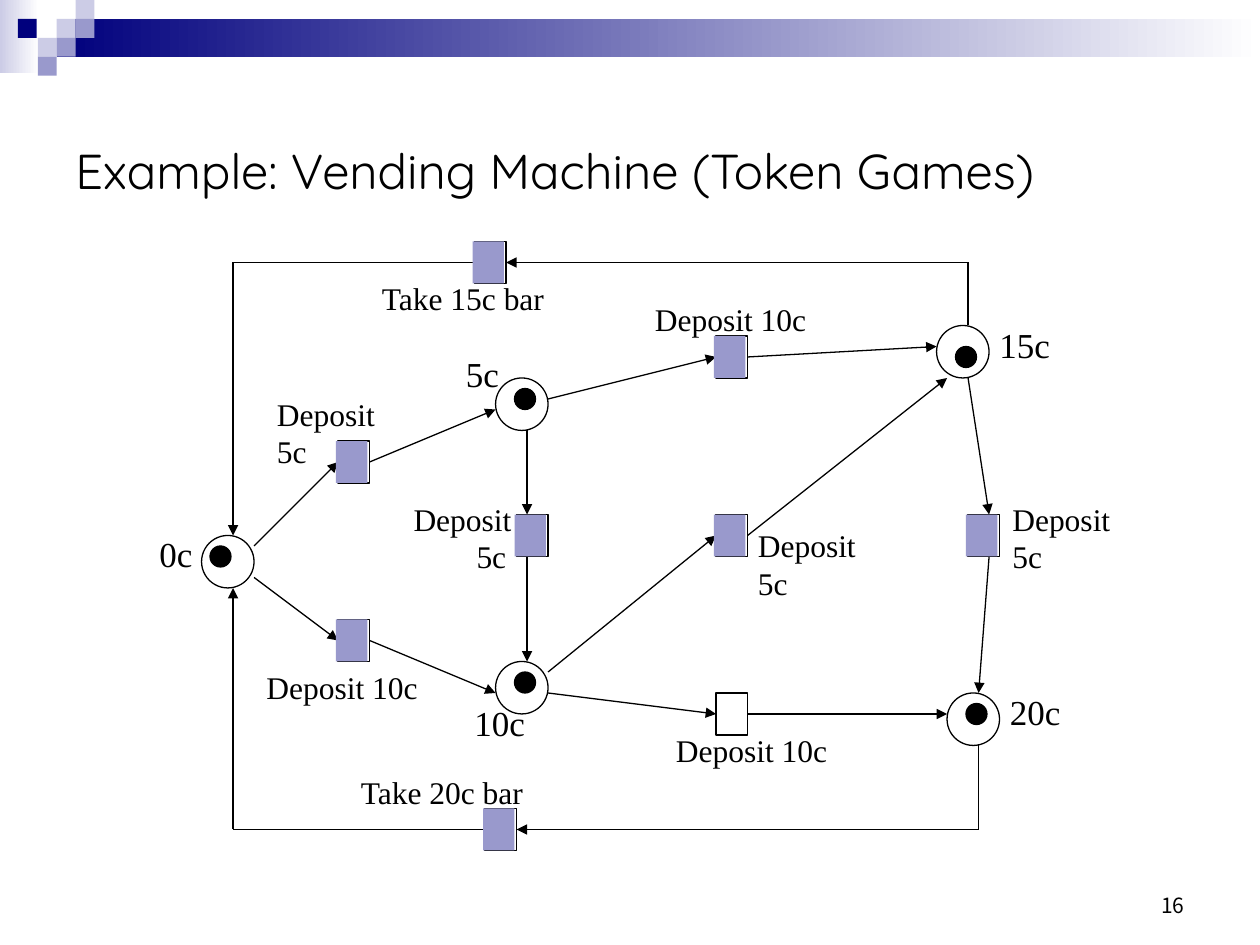
from lxml import etree
from pptx import Presentation
from pptx.dml.color import RGBColor
from pptx.enum import shapes, text
from pptx.oxml.ns import qn
from pptx.util import Pt

NAVY, LILAC, PALE = "00007D", "9999CC", "CCCCE6"
BLACK, WHITE = "000000", "FFFFFF"
SERIF = "Times New Roman"
RECT, OVAL = shapes.MSO_SHAPE.RECTANGLE, shapes.MSO_SHAPE.OVAL
CELL = 10.8                 # header mosaic square
PLACE = 30                  # place diameter
TOKEN = 12                  # token diameter
BAR_W, BAR_H = 18, 24       # transition size

# Header squares: left, top, colour
MOSAIC = [
    (32.4, 10.8, PALE), (43.2, 0, PALE), (43.2, 10.8, LILAC),
    (21.6, 21.6, PALE), (10.2, 10.8, NAVY), (32.4, 21.6, LILAC),
    (21.6, 32.4, LILAC),
]

# Places: left, top of the circle, then left, top of its token
PLACES = [
    (115.2, 306, 120, 312), (283.2, 216, 294, 222),
    (283.2, 378, 294, 384), (535.2, 186, 546, 198),
    (541.2, 396, 552, 402),
]

# Transitions: left, top, highlighted
TRANSITIONS = [
    (193.2, 354, True), (193.2, 252, True), (409.2, 192, True),
    (409.2, 396, False), (409.2, 294, True), (295.2, 294, True),
    (553.2, 294, True), (277.2, 462, True), (271.2, 138, True),
]

# Arcs: the points passed through, with an arrowhead at the last one if True
ARCS = [
    ([(145.2, 312), (193.2, 264)], True),
    ([(145.2, 330), (193.2, 366)], True),
    ([(211.2, 264), (283.2, 234)], True),
    ([(211.2, 366), (283.2, 396)], True),
    ([(313.2, 228), (409.2, 204)], True),
    ([(427.2, 204), (535.2, 198)], True),
    ([(301.2, 246), (301.2, 294)], True),
    ([(301.2, 318), (301.2, 378)], True),
    ([(313.2, 384), (409.2, 306)], True),
    ([(427.2, 306), (541.2, 216)], True),
    ([(313.2, 396), (409.2, 408)], True),
    ([(427.2, 408), (541.2, 408)], True),
    ([(553.2, 216), (565.2, 294)], True),
    ([(565.2, 318), (559.2, 396)], True),
    # Return loops
    ([(559.2, 426), (559.2, 474), (295.2, 474)], True),
    ([(277.2, 474), (133.2, 474), (133.2, 336)], True),
    ([(553.2, 186), (553.2, 150), (289.2, 150)], True),
    ([(271.2, 150), (133.2, 150), (133.2, 306)], True),
]

# Labels: left, top, width, height, size, lines
LABELS = [
    (259.2, 198, 33.1, 31.7, 20, ["5c"]),
    (84, 301, 33.1, 31.7, 20, ["0c"]),
    (264, 397.2, 43.2, 31.7, 20, ["10c"]),
    (570, 391, 43.2, 31.7, 20, ["20c"]),
    (564, 181.2, 43.2, 31.7, 20, ["15c"]),
    (211.2, 156, 108, 28.8, 18, ["Take 15c bar"]),
    (199.2, 438, 108, 28.8, 18, ["Take 20c bar"]),
    (151.2, 222, 91.4, 28.8, 18, ["Deposit 5c"]),
    (145.2, 378, 100.8, 28.8, 18, ["Deposit 10c"]),
    (367.2, 168, 100.8, 28.8, 18, ["Deposit 10c"]),
    (379.2, 414, 100.8, 28.8, 18, ["Deposit 10c"]),
    (229.2, 282, 70.6, 50.4, 18, ["Deposit", "5c"]),
    (426, 297.2, 70.6, 50.4, 18, ["Deposit", "5c"]),
    (571.4, 282, 70.6, 50.4, 18, ["Deposit", "5c"]),
]


def rgb(color):
    return RGBColor.from_string(color)


def add_shape(s, kind, x, y, w, h, fill=None, line=None):
    sp = s.shapes.add_shape(kind, Pt(x), Pt(y), Pt(w), Pt(h))
    sp.shadow.inherit = False
    if fill:
        sp.fill.solid()
        sp.fill.fore_color.rgb = rgb(fill)
    else:
        sp.fill.background()
    if line:
        sp.line.color.rgb = rgb(line)
        sp.line.width = Pt(0.75)
    else:
        sp.line.fill.background()
    return sp


def add_fade(s, x, y, w, h, color):
    """Rectangle fading from a colour to white, left to right."""
    sp = add_shape(s, RECT, x, y, w, h)
    sp.fill.gradient()
    sp.fill.gradient_angle = 0
    for stop, shade in zip(sp.fill.gradient_stops, (color, WHITE)):
        stop.color.rgb = rgb(shade)


def add_text(s, x, y, w, h, lines, size, font, wrap=False,
             anchor=text.MSO_ANCHOR.TOP, align=text.PP_ALIGN.LEFT):
    tf = s.shapes.add_textbox(Pt(x), Pt(y), Pt(w), Pt(h)).text_frame
    tf.word_wrap = wrap
    tf.vertical_anchor = anchor
    tf.text = "\n".join(lines)
    for p in tf.paragraphs:
        p.alignment = align
        p.font.size = Pt(size)
        p.font.name = font
        p.font.color.rgb = rgb(BLACK)
    return tf


def add_line(s, start, end, arrow):
    cn = s.shapes.add_connector(shapes.MSO_CONNECTOR.STRAIGHT,
                                *(Pt(v) for v in (*start, *end)))
    cn.line.color.rgb = rgb(BLACK)
    cn.line.width = Pt(0.75)
    if arrow:
        etree.SubElement(cn.line._get_or_add_ln(), qn("a:tailEnd"), type="triangle")
    etree.SubElement(cn._element.spPr, qn("a:effectLst"))


def add_arc(s, points, arrow):
    last = len(points) - 2
    for i, (start, end) in enumerate(zip(points, points[1:])):
        add_line(s, start, end, arrow and i == last)


def add_header(s):
    add_fade(s, 0, 0, 22.3, 41.8, PALE)
    add_fade(s, 32.4, CELL, 687.6, 2 * CELL, NAVY)
    for x, y, color in MOSAIC:
        add_shape(s, RECT, x, y, CELL, CELL, color)


def add_net(s):
    # Outlines and arcs
    for x, y, *_ in PLACES:
        add_shape(s, OVAL, x, y, PLACE, PLACE, line=BLACK)
    for x, y, _ in TRANSITIONS:
        add_shape(s, RECT, x, y, BAR_W, BAR_H, line=BLACK)
    for points, arrow in ARCS:
        add_arc(s, points, arrow)
    # Labels
    for x, y, w, h, size, lines in LABELS:
        tf = add_text(s, x, y, w, h, lines, size, SERIF)
        if len(lines) > 1 and x < 300:      # second line set in towards its bar
            tf.paragraphs[1]._p.get_or_add_pPr().set("marL", str(Pt(36)))
    # Highlights sit slightly left of the outlines
    for x, y, highlighted in TRANSITIONS:
        if highlighted:
            add_shape(s, RECT, x - 1.2, y, BAR_W, BAR_H, LILAC)
    # Tokens
    for *_, x, y in PLACES:
        add_shape(s, OVAL, x, y, TOKEN, TOKEN, BLACK, BLACK)


def main():
    prs = Presentation()
    prs.slide_width, prs.slide_height = Pt(720), Pt(540)
    s = prs.slides.add_slide(prs.slide_layouts[6])
    add_header(s)
    # Slide number and title
    add_text(s, 516, 492, 168, 36, ["16"], 12, "Noto Sans CJK KR", True,
             text.MSO_ANCHOR.BOTTOM, text.PP_ALIGN.RIGHT)
    add_text(s, 36, 50.4, 648, 93.6, ["Example: Vending Machine (Token Games)"],
             28, "Quicksand", True, text.MSO_ANCHOR.MIDDLE)
    add_net(s)
    prs.save("out.pptx")


if __name__ == "__main__":
    main()
